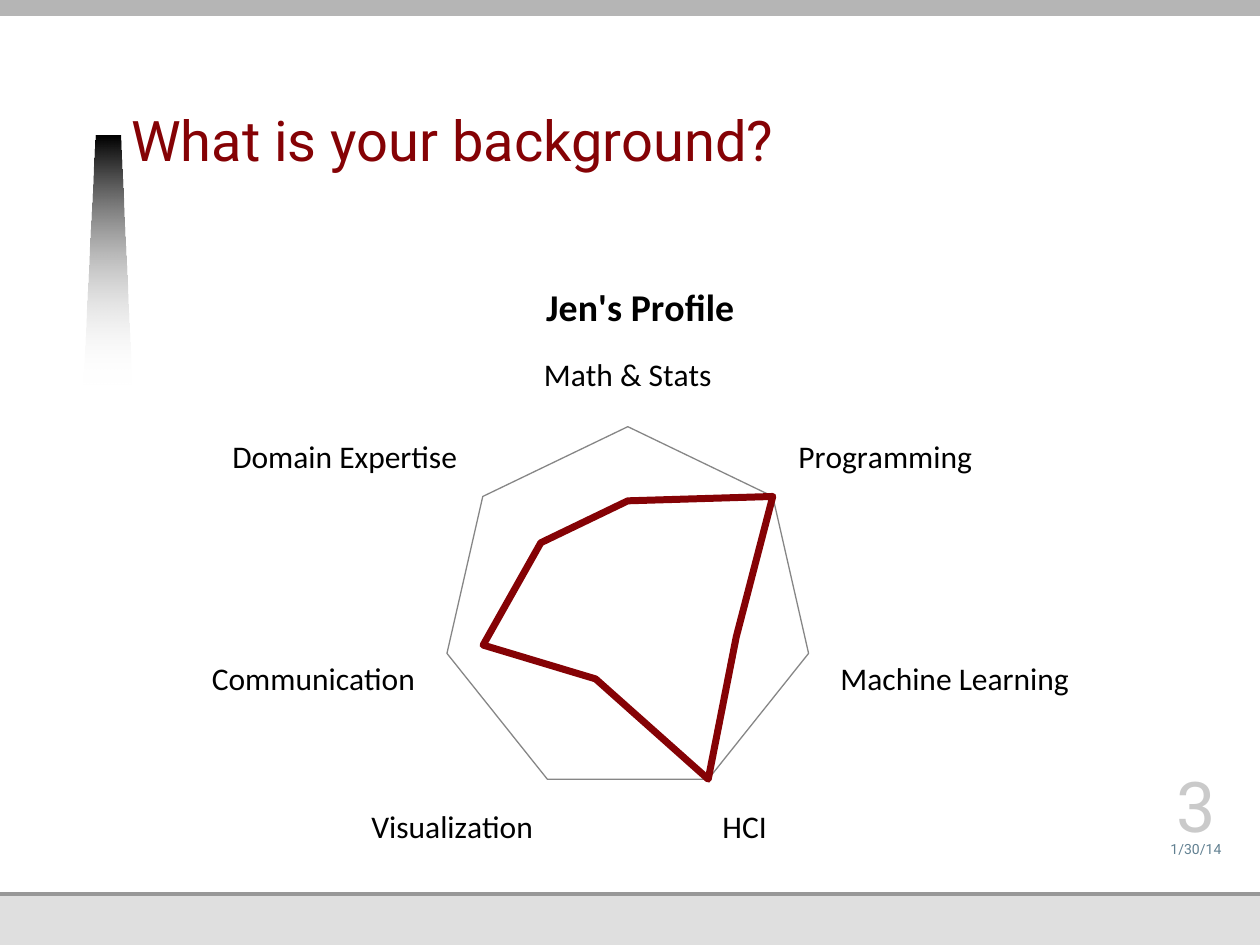
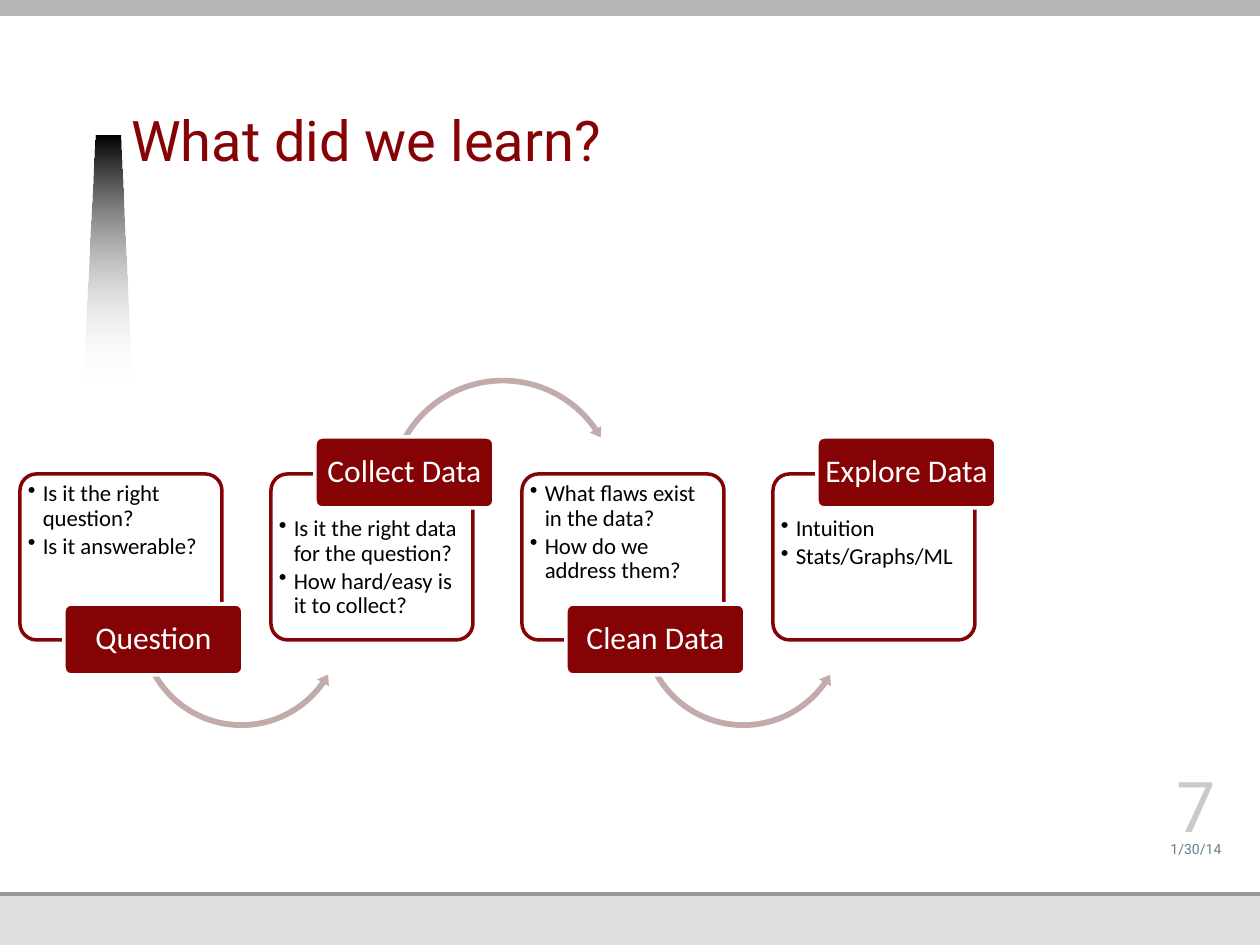
"""Build two course slides: a skills radar chart and a four-stage data process."""
from lxml.etree import SubElement
from pptx import Presentation
from pptx.chart.data import CategoryChartData
from pptx.dml.color import RGBColor
from pptx.enum.chart import XL_CHART_TYPE as ChartType, XL_TICK_MARK as TickMark
from pptx.enum.shapes import MSO_SHAPE as Shape
from pptx.enum.text import MSO_ANCHOR as Anchor, MSO_AUTO_SIZE as AutoSize, PP_ALIGN as Align
from pptx.oxml.ns import qn
from pptx.util import Inches, Pt

MAROON = RGBColor(0x85, 0x02, 0x05)
ROSE = RGBColor(0xC2, 0xAB, 0xAB)
BLACK = RGBColor(0, 0, 0)
WHITE = RGBColor(0xFF, 0xFF, 0xFF)
FOOTER_GRAY = RGBColor(0xDF, 0xDF, 0xDF)
RULE_GRAY = RGBColor(0x98, 0x98, 0x98)
TOP_GRAY = RGBColor(0xB5, 0xB5, 0xB5)
GRID_GRAY = RGBColor(0x86, 0x86, 0x86)
NUMBER_GRAY = RGBColor(0xCA, 0xCA, 0xCA)
DATE_BLUE = RGBColor(0x61, 0x80, 0x91)

SCALE = Inches(1) / 126
WIDTH, HEIGHT = 1260, 945

DATE = "1/30/14"
PROFILE_TITLE, PROFILE_NUMBER = "What is your background?", "3"
PROCESS_TITLE, PROCESS_NUMBER = "What did we learn?", "7"
PROFILE_NAME = "Jen's Profile"
SKILLS = {
    "Math & Stats": 60,
    "Programming": 100,
    "Machine Learning": 60,
    "HCI": 100,
    "Visualization": 40,
    "Communication": 80,
    "Domain Expertise": 60,
}
STAGES = [
    ("Question", ["Is it the right question?", "Is it answerable?"]),
    ("Collect Data", ["Is it the right data for the question?", "How hard/easy is it to collect?"]),
    ("Clean Data", ["What flaws exist in the data?", "How do we address them?"]),
    ("Explore Data", ["Intuition", "Stats/Graphs/ML"]),
]

BANDS = [
    (FOOTER_GRAY, (0, 0, WIDTH, HEIGHT)),
    (RULE_GRAY, (0, 224, WIDTH, 672)),
    (WHITE, (0, 0, WIDTH, 892)),
    (TOP_GRAY, (0, 0, WIDTH, 16)),
]
TAPER = [(84, 384), (96, 136), (120, 136), (131, 384)]
TITLE_BOX = (131, 43, 866, 136)
CHART_BOX = (155, 255, 971, 604)
DATE_BOX = (1150, 829, 92, 28)
NUMBER_BOX = (1150, 776, 92, 71)

STAGE_PITCH = 251
CARD_BOX = (20, 474, 202, 166)
LABEL_LEFT, LABEL_WIDTH, LABEL_HEIGHT = 64, 179, 71
LOW_STAGE = {
    "label_top": 604, "text_top": 3, "arrow": Shape.LEFT_CIRCULAR_ARROW,
    "arrow_box": (135, 519, 213, 213), "bend": (0.027, 3.302, 21.057, 90.245, 0.032),
}
HIGH_STAGE = {
    "label_top": 437, "text_top": 38, "arrow": Shape.CIRCULAR_ARROW,
    "arrow_box": (133, 374, 238, 238), "bend": (0.024, 2.926, 195.319, 125.755, 0.028),
}

TITLE_FONT = {"name": "Roboto", "size": Pt(32), "color": MAROON}
DATE_FONT = {"name": "Roboto", "size": Pt(8), "color": DATE_BLUE}
NUMBER_FONT = {"name": "Roboto", "size": Pt(40), "color": NUMBER_GRAY}
CARD_FONT = {"name": "Calibri", "size": Pt(13), "color": BLACK}
LABEL_FONT = {"name": "Calibri", "size": Pt(18), "color": WHITE}
CHART_FONT = {"name": "Calibri", "size": Pt(18), "color": BLACK}
CHART_TITLE_FONT = {"name": "Calibri", "size": Pt(21.6), "bold": True, "color": BLACK}


def px(length):
    return round(length * SCALE)


def box(left, top, width, height):
    return px(left), px(top), px(width), px(height)


def shifted(area, distance):
    left, *rest = area
    return (left + distance, *rest)


def set_font(font, values):
    for name, value in values.items():
        if name == "color":
            font.color.rgb = value
        else:
            setattr(font, name, value)


def set_alpha(shape, percent):
    color = shape.element.spPr.findall(".//" + qn("a:srgbClr"))[-1]
    SubElement(color, qn("a:alpha"), val=str(percent * 1000))


def add_bullet(paragraph, indent):
    properties = paragraph._p.get_or_add_pPr()
    properties.set("marL", str(px(indent)))
    properties.set("indent", str(-px(indent)))
    SubElement(properties, qn("a:buChar"), char="•")


def write(shape, lines, font, insets=(0, 0, 0, 0), align=Align.LEFT, anchor=Anchor.BOTTOM,
          spacing=1.0, after=0, bullet_indent=0, wrap=True):
    frame = shape.text_frame
    sides = ("margin_left", "margin_top", "margin_right", "margin_bottom")
    settings = dict(zip(sides, map(px, insets)), word_wrap=wrap,
                    auto_size=AutoSize.NONE, vertical_anchor=anchor)
    for name, value in settings.items():
        setattr(frame, name, value)
    for index, line in enumerate(lines):
        paragraph = frame.add_paragraph() if index else frame.paragraphs[0]
        paragraph.alignment = align
        paragraph.line_spacing = spacing
        paragraph.space_after = Pt(after)
        if bullet_indent:
            add_bullet(paragraph, bullet_indent)
        run = paragraph.add_run()
        run.text = line
        set_font(run.font, font)


def add_filled(slide, kind, area, fill, line=None, bend=()):
    shape = slide.shapes.add_shape(kind, *box(*area))
    shape.shadow.inherit = False
    shape.fill.solid()
    shape.fill.fore_color.rgb = fill
    if line is None:
        shape.line.fill.background()
    else:
        shape.line.color.rgb = line
        shape.line.width = Pt(2)
    for index, value in enumerate(bend):
        shape.adjustments[index] = value
    return shape


def add_taper(slide):
    builder = slide.shapes.build_freeform(*TAPER[0], scale=SCALE)
    builder.add_line_segments(TAPER[1:], close=True)
    taper = builder.convert_to_shape()
    taper.shadow.inherit = False
    taper.line.fill.background()
    taper.fill.gradient()
    taper.fill.gradient_angle = 270
    for stop, color in zip(taper.fill.gradient_stops, (BLACK, WHITE)):
        stop.color.rgb = color
    set_alpha(taper, 0)
    return taper


def decorate_layout(layout, slide):
    """Draw the shared bands once and move them behind the layout's placeholders."""
    parts = [add_filled(slide, Shape.RECTANGLE, area, fill) for fill, area in BANDS]
    parts.append(add_taper(slide))
    for position, part in enumerate(parts, start=2):
        layout.shapes.element.insert(position, part.element)


def add_titled_slide(presentation, layout, title, number):
    slide = presentation.slides.add_slide(layout)
    heading = slide.shapes.title
    heading.left, heading.top, heading.width, heading.height = box(*TITLE_BOX)
    write(heading, [title], TITLE_FONT, insets=(0, 0, 0, 6), spacing=Pt(34))
    for text, area, font in ((DATE, DATE_BOX, DATE_FONT), (number, NUMBER_BOX, NUMBER_FONT)):
        write(slide.shapes.add_textbox(*box(*area)), [text], font, align=Align.CENTER)
    return slide


def add_profile_chart(slide):
    data = CategoryChartData()
    data.categories = list(SKILLS)
    data.add_series(PROFILE_NAME, list(SKILLS.values()))
    chart = slide.shapes.add_chart(ChartType.RADAR, *box(*CHART_BOX), data).chart
    set_font(chart.font, CHART_FONT)
    chart.has_legend = False
    chart.has_title = True
    chart.chart_title.include_in_layout = False
    heading = chart.chart_title.text_frame
    heading.text = PROFILE_NAME
    set_font(heading.paragraphs[0].runs[0].font, CHART_TITLE_FONT)

    chart.category_axis.major_tick_mark = TickMark.NONE
    axis = chart.value_axis
    scale = {"minimum_scale": 0, "maximum_scale": 100, "major_unit": 100,
             "has_major_gridlines": True, "visible": False}
    for name, value in scale.items():
        setattr(axis, name, value)
    axis.major_gridlines.format.line.color.rgb = GRID_GRAY
    axis.major_gridlines.format.line.width = Pt(0.75)

    plot = chart.plots[0]
    plot.vary_by_categories = False
    series = plot.series[0]
    series.smooth = False
    series.format.line.color.rgb = MAROON
    series.format.line.width = Pt(4)


def add_process(slide):
    for index, (name, questions) in enumerate(STAGES):
        style = HIGH_STAGE if index % 2 else LOW_STAGE
        offset = index * STAGE_PITCH
        card = add_filled(slide, Shape.ROUNDED_RECTANGLE, shifted(CARD_BOX, offset),
                          WHITE, MAROON, bend=(0.1,))
        set_alpha_target = card.fill.fore_color
        write(card, questions, CARD_FONT, insets=(3, style["text_top"], 3, 3),
              anchor=Anchor.TOP, spacing=0.9, after=2, bullet_indent=15)
        if index < len(STAGES) - 1:
            add_filled(slide, style["arrow"], shifted(style["arrow_box"], index // 2 * 2 * STAGE_PITCH
                       + index % 2 * STAGE_PITCH), ROSE, bend=style["bend"])
        label_box = (LABEL_LEFT + offset, style["label_top"], LABEL_WIDTH, LABEL_HEIGHT)
        label = add_filled(slide, Shape.ROUNDED_RECTANGLE, label_box, MAROON, WHITE, bend=(0.1,))
        write(label, [name], LABEL_FONT, insets=(5, 4, 5, 4), align=Align.CENTER,
              anchor=Anchor.MIDDLE, spacing=0.9, wrap=False)


def main():
    presentation = Presentation()
    presentation.slide_width, presentation.slide_height = px(WIDTH), px(HEIGHT)
    layout = presentation.slide_layouts.get_by_name("Title Only")
    profile = add_titled_slide(presentation, layout, PROFILE_TITLE, PROFILE_NUMBER)
    decorate_layout(layout, profile)
    add_profile_chart(profile)
    process = add_titled_slide(presentation, layout, PROCESS_TITLE, PROCESS_NUMBER)
    add_process(process)
    presentation.save("out.pptx")


if __name__ == "__main__":
    main()
